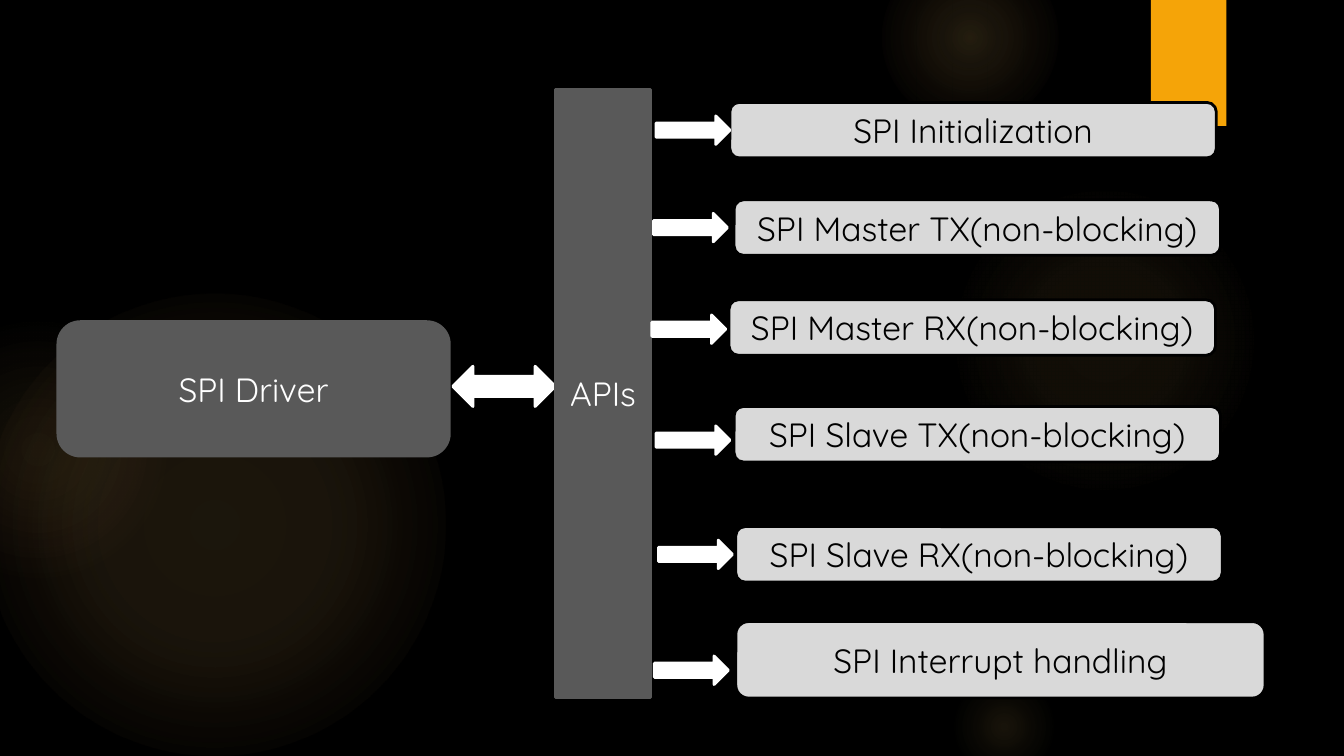
from dataclasses import dataclass

from pptx import Presentation
from pptx.dml.color import RGBColor
from pptx.enum.shapes import MSO_SHAPE
from pptx.enum.text import MSO_ANCHOR, PP_ALIGN
from pptx.oxml import parse_xml
from pptx.oxml.ns import nsdecls, qn
from pptx.util import Pt

OVAL = MSO_SHAPE.OVAL
RECTANGLE = MSO_SHAPE.RECTANGLE
ROUNDED_PROCESS = MSO_SHAPE.FLOWCHART_ALTERNATE_PROCESS
RIGHT_ARROW = MSO_SHAPE.RIGHT_ARROW
LEFT_RIGHT_ARROW = MSO_SHAPE.LEFT_RIGHT_ARROW
MIDDLE = MSO_ANCHOR.MIDDLE
CENTER = PP_ALIGN.CENTER

PX = 5715
PAGE_SIZE = (1600, 900)


@dataclass(frozen=True)
class Theme:
    font: str = "Quicksand"
    text_size: int = 18
    line_width: float = 1.5
    black: str = "000000"
    white: str = "FFFFFF"
    dark: str = "595959"
    light: str = "D9D9D9"
    accent: str = "F5A408"
    glow: str = "FAC96A"
    glow_edge: str = "F59B74"


THEME = Theme()

GLOWS = [
    ((-20, 350, 550), [(0, 11), (36, 10), (75, 0)], THEME.glow),
    ((-110, 380, 310), [(0, 8), (36, 5), (71, 0)], THEME.glow_edge),
    ((1130, 220, 370), [(0, 7), (36, 6), (69, 0)], THEME.glow),
    ((1050, -60, 210), [(0, 14), (36, 7), (73, 0)], THEME.glow),
    ((1130, 800, 130), [(0, 10), (31, 5), (66, 0)], THEME.glow),
]

CALLS = [
    ("SPI Initialization", (869, 122, 579, 66), (-88, 16)),
    ("SPI Master TX(non-blocking)", (874, 238, 579, 66), (-96, 16)),
    ("SPI Master RX(non-blocking)", (868, 357, 579, 66), (-92, 18)),
    ("SPI Slave TX(non-blocking)", (874, 484, 579, 66), (-93, 23)),
    ("SPI Slave RX(non-blocking)", (876, 627, 579, 66), (-92, 16)),
    ("SPI Interrupt handling", (876, 740, 630, 91), (-97, 41)),
]


def add_block(page, kind, box, fill=None, line=None):
    shape = page.shapes.add_shape(kind, *(length * PX for length in box))
    shape.shadow.inherit = False
    if fill:
        shape.fill.solid()
        shape.fill.fore_color.rgb = RGBColor.from_string(fill)
    else:
        shape.fill.background()
    if line:
        shape.line.color.rgb = RGBColor.from_string(line)
        shape.line.width = Pt(THEME.line_width)
    else:
        shape.line.fill.background()
    return shape


def write_label(shape, text, color):
    frame = shape.text_frame
    frame.word_wrap = True
    frame.vertical_anchor = MIDDLE
    frame.margin_left = frame.margin_right = 0
    frame.margin_top = frame.margin_bottom = 0
    para = frame.paragraphs[0]
    para.text = text
    para.alignment = CENTER
    para.font.name = THEME.font
    para.font.size = Pt(THEME.text_size)
    para.font.color.rgb = RGBColor.from_string(color)


def add_glow(page, circle, stops, edge_color):
    left, top, diameter = circle
    shape = add_block(page, OVAL, (left, top, diameter, diameter))
    colors = [THEME.glow, THEME.glow, edge_color]
    stop_xml = "".join(
        f'<a:gs pos="{position * 1000}"><a:srgbClr val="{color}">'
        f'<a:alpha val="{opacity * 1000}"/></a:srgbClr></a:gs>'
        for (position, opacity), color in zip(stops, colors)
    )
    gradient = parse_xml(
        f'<a:gradFill {nsdecls("a")} rotWithShape="1"><a:gsLst>{stop_xml}</a:gsLst>'
        '<a:path path="circle"><a:fillToRect l="50000" t="50000" r="50000" b="50000"/>'
        "</a:path></a:gradFill>"
    )
    properties = shape._element.spPr
    properties.replace(properties.find(qn("a:noFill")), gradient)


def add_backdrop(page):
    page.background.fill.solid()
    page.background.fill.fore_color.rgb = RGBColor.from_string(THEME.black)
    for circle, stops, edge_color in GLOWS:
        add_glow(page, circle, stops, edge_color)
    add_block(page, RECTANGLE, (1370, 0, 90, 150), THEME.accent)


def add_driver(page, box):
    left, top, width, _ = box
    driver = add_block(page, ROUNDED_PROCESS, box, THEME.dark, THEME.dark)
    write_label(driver, "SPI Driver", THEME.white)
    link = (left + width + 4, top + 53, 122, 48)
    add_block(page, LEFT_RIGHT_ARROW, link, THEME.white, THEME.white)


def add_api_bar(page, box):
    bar = add_block(page, RECTANGLE, box, THEME.dark, THEME.dark)
    write_label(bar, "APIs", THEME.white)


def add_call(page, box, label, arrow_offset):
    left, top, _, _ = box
    across, down = arrow_offset
    call = add_block(page, ROUNDED_PROCESS, box, THEME.light, THEME.black)
    write_label(call, label, THEME.black)
    arrow = (left + across, top + down, 88, 34)
    add_block(page, RIGHT_ARROW, arrow, THEME.white, THEME.white)


def main():
    deck = Presentation()
    deck.slide_width, deck.slide_height = (length * PX for length in PAGE_SIZE)
    page = deck.slides.add_slide(deck.slide_layouts[6])
    add_backdrop(page)
    add_driver(page, (69, 383, 466, 160))
    add_api_bar(page, (661, 107, 114, 723))
    for label, box, arrow_offset in CALLS:
        add_call(page, box, label, arrow_offset)
    deck.save("out.pptx")


if __name__ == "__main__":
    main()
